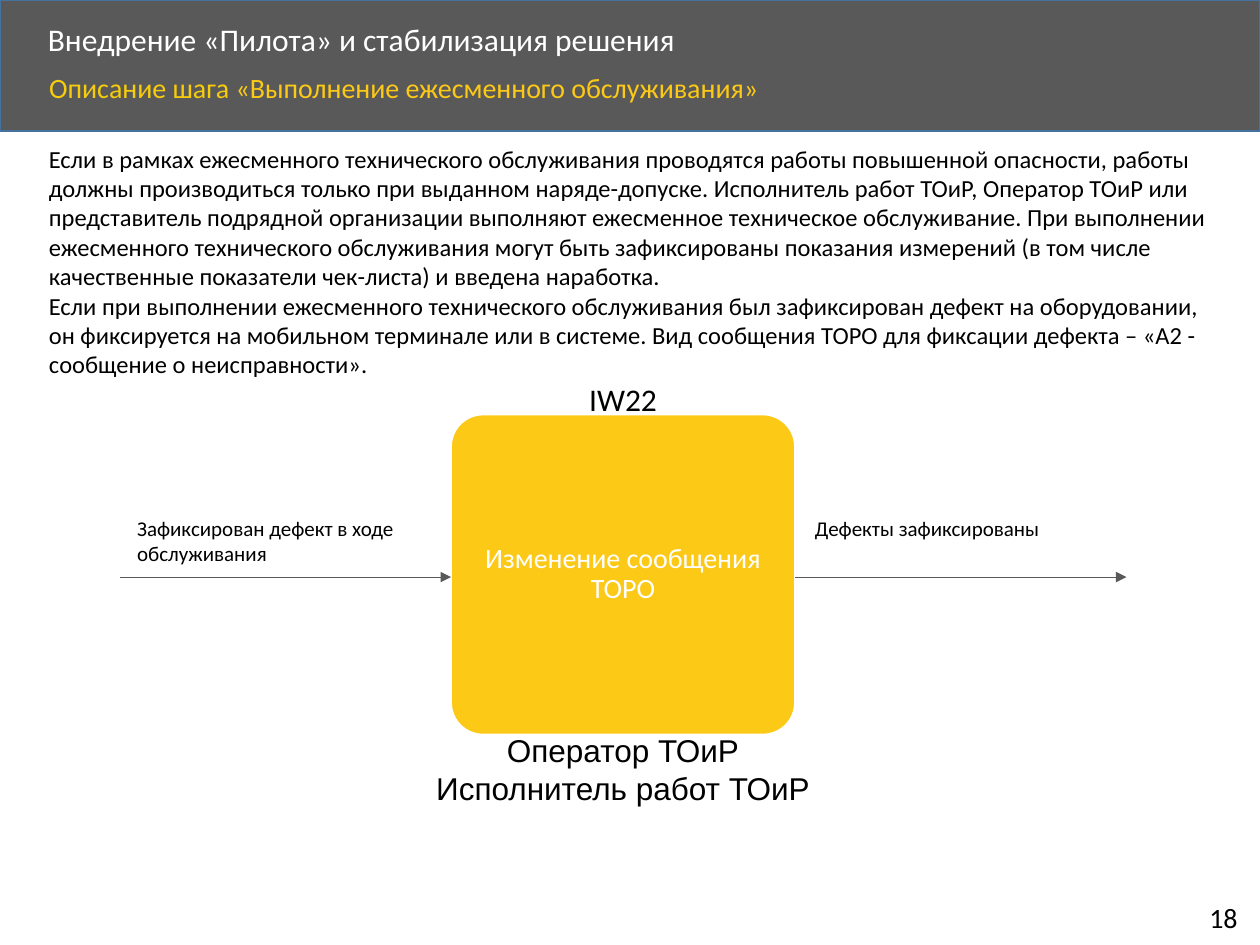
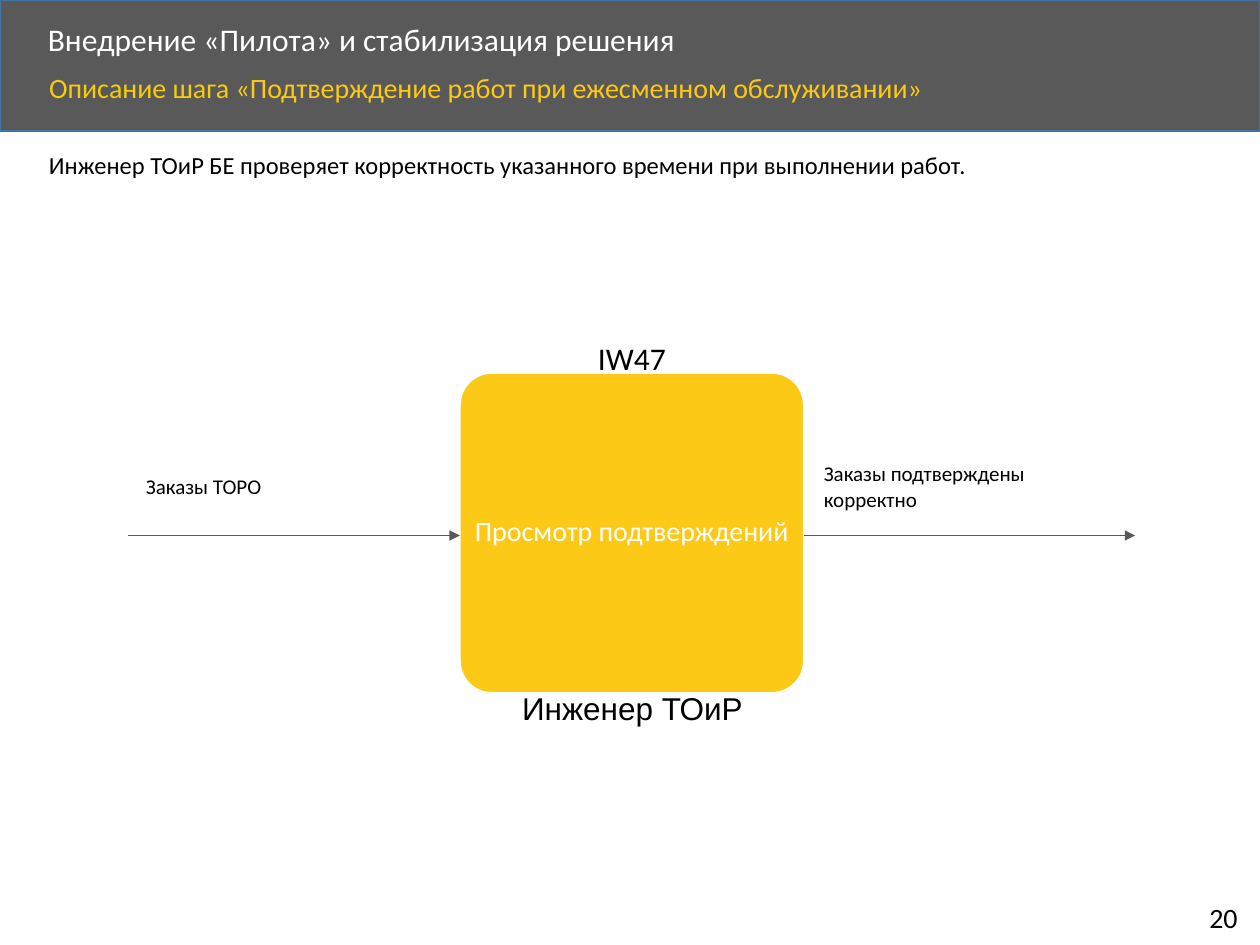
from lxml import etree
from pptx import Presentation
from pptx.dml.color import RGBColor
from pptx.enum.shapes import MSO_CONNECTOR, MSO_SHAPE
from pptx.enum.text import MSO_ANCHOR as Anchor, MSO_AUTO_SIZE as AutoSize, PP_ALIGN as Align
from pptx.oxml.ns import qn
from pptx.util import Inches, Pt

# Content
COLORS = {"band": "595959", "band_edge": "43739E", "white": "FFFFFF", "black": "000000",
          "lead": "F6CC0C", "yellow": "FCC917"}
TITLE = "Внедрение «Пилота» и стабилизация решения"
STEP_LEAD = "Описание шага "

# Labels hold text, distance below the block top, and height
STEPS = [
    {"number": "18",
     "step": "«Выполнение ежесменного обслуживания»",
     "description": [
         "Если в рамках ежесменного технического обслуживания проводятся работы повышенной "
         "опасности, работы должны производиться только при выданном наряде-допуске. "
         "Исполнитель работ ТОиР, Оператор ТОиР или представитель подрядной организации "
         "выполняют ежесменное техническое обслуживание. При выполнении ежесменного "
         "технического обслуживания могут быть зафиксированы показания измерений (в том числе "
         "качественные показатели чек-листа) и введена наработка.",
         "Если при выполнении ежесменного технического обслуживания был зафиксирован дефект на "
         "оборудовании, он фиксируется на мобильном терминале или в системе. Вид сообщения ТОРО "
         "для фиксации дефекта – «A2 - сообщение о неисправности».",
     ],
     "description_box": (0.29, 1.09, 9.46, 1.99),
     "block_at": (3.58, 3.29),
     "code": "IW22",
     "operation": "Изменение сообщения ТОРО",
     "owners": ["Оператор ТОиР", "Исполнитель работ ТОиР"],
     "owners_size": (3.25, 0.71),
     "input": ("Зафиксирован дефект в ходе обслуживания", 0.75, 0.5),
     "output": ("Дефекты зафиксированы", 0.75, 0.3)},
    {"number": "20",
     "step": "«Подтверждение работ при ежесменном обслуживании»",
     "description": ["Инженер ТОиР БЕ проверяет корректность указанного времени при "
                     "выполнении работ."],
     "description_box": (0.29, 1.14, 9.46, 0.34),
     "block_at": (3.65, 2.96),
     "code": "IW47",
     "operation": "Просмотр подтверждений",
     "owners": ["Инженер ТОиР"],
     "owners_size": (1.96, 0.4),
     "input": ("Заказы ТОРО", 0.75, 0.3),
     "output": ("Заказы подтверждены корректно", 0.65, 0.5)},
]

# Geometry in inches
BLOCK_W, BLOCK_H = 2.73, 2.54
ARROW_LENGTH, ARROW_DROP = 2.63, 1.29
LABEL_W = 2.56
CODE_W, CODE_H = 0.75, 0.4


def rgb(name):
    return RGBColor.from_string(COLORS[name])


def inches(box):
    return [Inches(round(value, 2)) for value in box]


def write(frame, paragraphs, size=14, color="black", font="Calibri", align=Align.LEFT,
          anchor=Anchor.TOP, spacing=1.0, wrap=True):
    """Fill a frame; a paragraph is a string or a list of (text, color) runs."""
    frame.word_wrap = wrap
    frame.auto_size = AutoSize.NONE
    frame.vertical_anchor = anchor
    for i, runs in enumerate(paragraphs):
        paragraph = frame.add_paragraph() if i else frame.paragraphs[0]
        paragraph.alignment = align
        paragraph.line_spacing = spacing
        paragraph.space_before = Pt(0)
        for text, run_color in [(runs, color)] if isinstance(runs, str) else runs:
            run = paragraph.add_run()
            run.text = text
            run.font.name, run.font.size = font, Pt(size)
            run.font.color.rgb = rgb(run_color)


def add_text(slide, box, paragraphs, **style):
    write(slide.shapes.add_textbox(*inches(box)).text_frame, paragraphs, **style)


def fill_placeholder(placeholder, box, paragraphs, **style):
    placeholder.left, placeholder.top, placeholder.width, placeholder.height = inches(box)
    write(placeholder.text_frame, paragraphs, spacing=0.9, **style)


def add_panel(slide, kind, box, fill, edge):
    panel = slide.shapes.add_shape(kind, *inches(box))
    panel.shadow.inherit = False
    panel.fill.solid()
    panel.fill.fore_color.rgb = rgb(fill)
    panel.line.color.rgb = rgb(edge)
    panel.line.width = Pt(1)
    return panel


def add_arrow(slide, x, y):
    arrow = slide.shapes.add_connector(MSO_CONNECTOR.STRAIGHT,
                                       *inches((x, y, x + ARROW_LENGTH, y)))
    arrow.line.color.rgb = rgb("band")
    arrow.line.width = Pt(0.5)
    etree.SubElement(arrow.line._get_or_add_ln(), qn("a:tailEnd"), type="triangle")
    etree.SubElement(arrow._element.spPr, qn("a:effectLst"))


def add_header(slide, step):
    band = add_panel(slide, MSO_SHAPE.RECTANGLE, (0, 0, 10, 1.04), "band", "band_edge")
    slide.shapes._spTree.insert(2, band._element)  # behind the placeholders
    fill_placeholder(slide.shapes.title, (0.28, 0.14, 8.07, 0.38), [TITLE],
                     size=18, color="white", anchor=Anchor.MIDDLE)
    subtitle = slide.placeholders[1]
    properties = subtitle.text_frame.paragraphs[0]._p.get_or_add_pPr()
    properties.set("marL", "0")
    properties.set("indent", "0")
    etree.SubElement(properties, qn("a:buNone"))
    fill_placeholder(subtitle, (0.29, 0.54, 8.65, 0.45),
                     [[(STEP_LEAD, "lead"), (step["step"], "yellow")]], size=16)
    add_text(slide, (9.5, 7.1, 0.46, 0.37), [step["number"]], size=16, wrap=False)


def add_process(slide, step):
    left, top = step["block_at"]
    right, center = left + BLOCK_W, left + BLOCK_W / 2

    # Operation block
    block = add_panel(slide, MSO_SHAPE.ROUNDED_RECTANGLE, (left, top, BLOCK_W, BLOCK_H),
                      "yellow", "white")
    block.adjustments[0] = 0.1
    frame = block.text_frame
    frame.margin_left = frame.margin_right = frame.margin_top = frame.margin_bottom = 0
    write(frame, [step["operation"]], size=16, color="white", align=Align.CENTER,
          anchor=Anchor.MIDDLE, spacing=0.9)

    # Transaction code above, owners below
    add_text(slide, (center - CODE_W / 2, top - 0.32, CODE_W, CODE_H), [step["code"]],
             size=18, align=Align.CENTER, wrap=False)
    owners_w, owners_h = step["owners_size"]
    add_text(slide, (center - owners_w / 2, top + 2.46, owners_w, owners_h), step["owners"],
             size=18, font="Arial", align=Align.CENTER)

    # Input and output arrows with labels
    for side, arrow_x, label_gap in (("input", left - ARROW_LENGTH, 0.04),
                                     ("output", right, 0.06)):
        add_arrow(slide, arrow_x, top + ARROW_DROP)
        label, drop, height = step[side]
        add_text(slide, (arrow_x + label_gap, top + drop, LABEL_W, height), [label], size=12)


def main():
    deck = Presentation()
    deck.slide_width, deck.slide_height = Inches(10), Inches(7.5)
    for step in STEPS:
        slide = deck.slides.add_slide(deck.slide_layouts[1])
        add_header(slide, step)
        add_text(slide, step["description_box"], step["description"])
        add_process(slide, step)
    deck.save("out.pptx")


if __name__ == "__main__":
    main()
